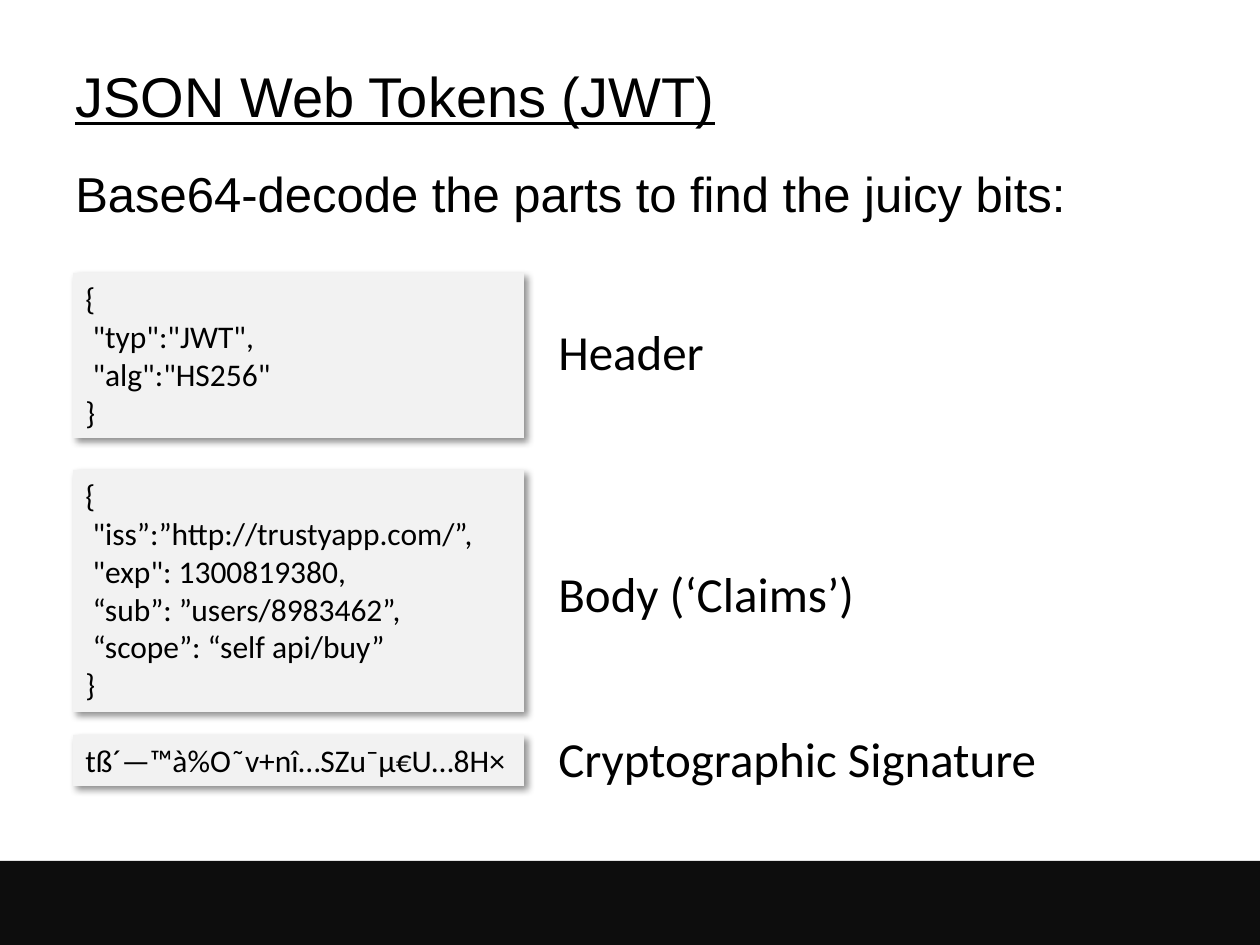
import pptx
import pptx.util
import pptx.dml.color
import pptx.enum.shapes
import pptx.enum.text
import lxml.etree
from dataclasses import dataclass

# Content: code lines, box top, box height, label, label top, label width (px)
TITLE = "JSON Web Tokens (JWT)"
LEAD = "Base64-decode the parts to find the juicy bits:"
TOKEN_PARTS = [
    (["{", ' "typ":"JWT",', ' "alg":"HS256"', "}"],
     273, 165, "Header", 315, 173),
    (["{", ' "iss”:”http://trustyapp.com/”,', ' "exp": 1300819380,',
      " “sub”: ”users/8983462”,", " “scope”: “self api/buy”", "}"],
     470, 242, "Body (‘Claims’)", 557, 323),
    (["tß´—™à%O˜v+nî…SZu¯µ€U…8H×"],
     735, 51, "Cryptographic Signature", 722, 512),
]


@dataclass(frozen=True)
class Theme:
    text: str = "000000"
    panel: str = "F2F2F2"
    footer: str = "0D0D0D"
    heading_font: str = "Arial"
    body_font: str = "Calibri"
    title_size: int = 32
    large_size: int = 28
    code_size: int = 18


THEME = Theme()
PX = 914400 // 126
CODE_LEFT, CODE_WIDTH = 73, 451
LABEL_LEFT, LABEL_HEIGHT = 546, 72
DRAWING = "http://schemas.openxmlformats.org/drawingml/2006/main"


def place(*lengths):
    return [pptx.util.Emu(length * PX) for length in lengths]


def write(box, lines, size, font, underline=None, wrap=True,
          anchor=pptx.enum.text.MSO_ANCHOR.TOP):
    frame = box.text_frame
    frame.word_wrap = wrap
    frame.vertical_anchor = anchor
    for index, line in enumerate(lines):
        para = frame.paragraphs[0] if index == 0 else frame.add_paragraph()
        para.alignment = pptx.enum.text.PP_ALIGN.LEFT
        span = para.add_run()
        span.text = line
        span.font.name = font
        span.font.size = pptx.util.Pt(size)
        span.font.underline = underline
        span.font.color.rgb = pptx.dml.color.RGBColor.from_string(THEME.text)


def add_panel(page, bounds, color):
    panel = page.shapes.add_shape(
        pptx.enum.shapes.MSO_SHAPE.RECTANGLE, *place(*bounds))
    panel.shadow.inherit = False
    panel.fill.solid()
    panel.fill.fore_color.rgb = pptx.dml.color.RGBColor.from_string(color)
    panel.line.fill.background()
    return panel


def cast_shadow(panel):
    effects = panel.element.spPr.find(f"{{{DRAWING}}}effectLst")
    shadow = lxml.etree.SubElement(
        effects, f"{{{DRAWING}}}outerShdw", blurRad=str(pptx.util.Pt(4)),
        dist=str(pptx.util.Pt(3)), dir=str(45 * 60000), algn="tl",
        rotWithShape="0")
    color = lxml.etree.SubElement(shadow, f"{{{DRAWING}}}srgbClr", val=THEME.text)
    lxml.etree.SubElement(color, f"{{{DRAWING}}}alpha", val="43000")


def main():
    deck = pptx.Presentation()
    deck.slide_width, deck.slide_height = place(1260, 945)
    page = deck.slides.add_slide(deck.slide_layouts[6])

    # Footer band
    add_panel(page, (0, 861, 1261, 85), THEME.footer)

    # Title and lead sentence
    title = page.shapes.add_textbox(*place(63, 53, 1134, 84))
    write(title, [TITLE], THEME.title_size, THEME.heading_font, underline=True,
          anchor=pptx.enum.text.MSO_ANCHOR.MIDDLE)
    lead = page.shapes.add_textbox(*place(63, 157, 1134, 73))
    write(lead, [LEAD], THEME.large_size, THEME.heading_font)

    # Token parts with their labels
    for lines, top, height, label, label_top, label_width in TOKEN_PARTS:
        code = add_panel(page, (CODE_LEFT, top, CODE_WIDTH, height), THEME.panel)
        cast_shadow(code)
        write(code, lines, THEME.code_size, THEME.body_font)
        caption = page.shapes.add_textbox(
            *place(LABEL_LEFT, label_top, label_width, LABEL_HEIGHT))
        write(caption, [label], THEME.large_size, THEME.body_font, wrap=False)

    deck.save("out.pptx")


if __name__ == "__main__":
    main()
